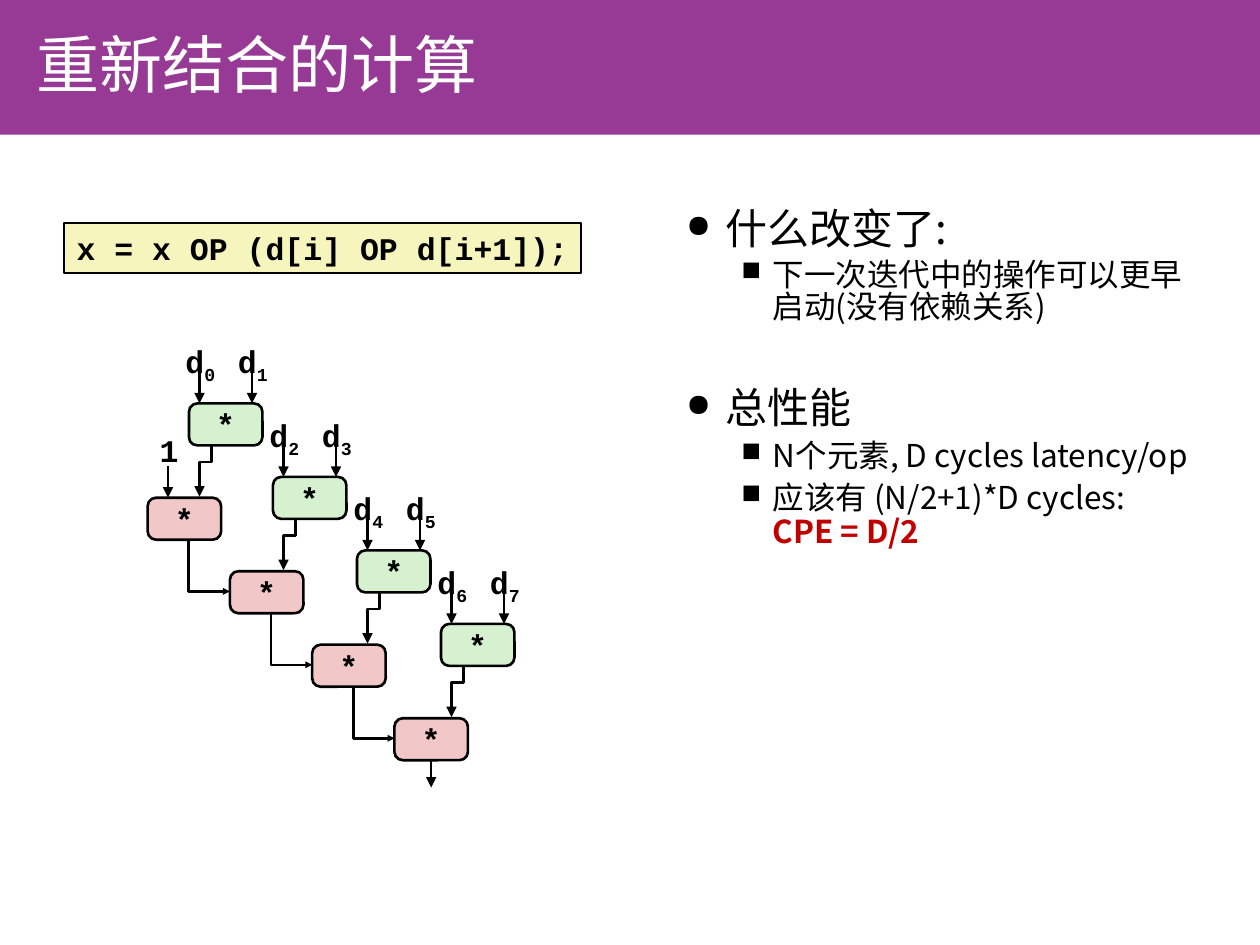
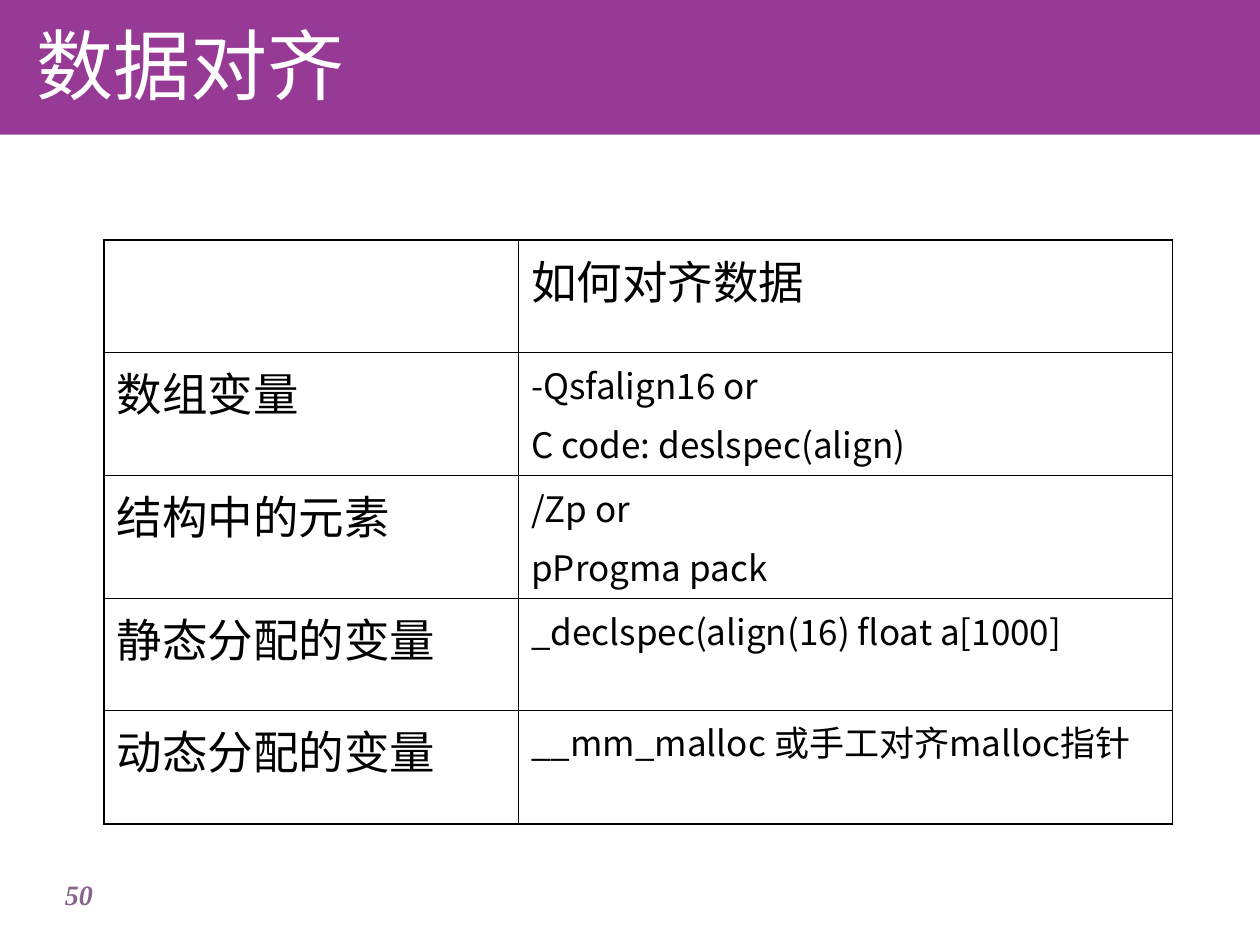
from dataclasses import dataclass

from lxml.etree import SubElement
from pptx import Presentation
from pptx.dml.color import RGBColor
from pptx.enum.shapes import MSO_CONNECTOR, MSO_SHAPE
from pptx.enum.text import MSO_ANCHOR, MSO_AUTO_SIZE, PP_ALIGN
from pptx.oxml.ns import qn
from pptx.util import Pt


@dataclass(frozen=True)
class Theme:
    """Colours, fonts and type sizes of the deck."""

    band: str = "973A95"
    title: str = "FFFFFF"
    ink: str = "000000"
    accent: str = "C00000"
    number: str = "86658B"
    code: str = "F6F5BD"
    early: str = "D5F1CF"
    chained: str = "F1C7C7"
    sans: str = "Noto Sans CJK SC"
    mono: str = "Courier New"
    serif: str = "Times New Roman"
    heading_size: int = 24
    text_size: int = 18
    number_size: int = 16
    label_size: int = 26
    cell_size: int = 20
    stroke: float = 1.5


THEME = Theme()
NODE_WIDTH, NODE_HEIGHT = 42, 24
ROW_STEP = 42
EARLY_LEFT, EARLY_TOP, EARLY_STEP = 108, 230.5, 48
CHAIN_LEFT, CHAIN_TOP, CHAIN_STEP = 84.4, 284.4, 47
INPUT_LENGTH = 18


def points(*lengths):
    """Convert plain numbers to lengths in points."""
    return [Pt(length) for length in lengths]


def style(para, size, name=THEME.sans, color=THEME.ink, bold=False, italic=False):
    """Set one font for a whole paragraph, East Asian text included."""
    font = para.font
    font.size, font.name, font.bold, font.italic = Pt(size), name, bold, italic
    font.color.rgb = RGBColor.from_string(color)
    properties = para._p.get_or_add_pPr().find(qn("a:defRPr"))
    SubElement(properties, qn("a:ea"), typeface=name)


def outline(line, width):
    """Give a line the ink colour and a width."""
    line.color.rgb = RGBColor.from_string(THEME.ink)
    line.width = Pt(width)


def add_arrowhead(shape, size="med"):
    """Put a triangle at the end of a line."""
    SubElement(shape.line._get_or_add_ln(), qn("a:tailEnd"), type="triangle", w=size, len=size)


def add_filled(page, kind, frame, color, width=None):
    """Add a flat preset shape, outlined when a width is given."""
    shape = page.shapes.add_shape(kind, *points(*frame))
    shape.shadow.inherit = False
    shape.fill.solid()
    shape.fill.fore_color.rgb = RGBColor.from_string(color)
    if width is None:
        shape.line.fill.background()
    else:
        outline(shape.line, width)
    return shape


def add_page(deck, title, size):
    """Add a slide with the purple band and its title."""
    page = deck.slides.add_slide(deck.slide_layouts[5])
    band = add_filled(page, MSO_SHAPE.RECTANGLE, (0, -0.5, 720, 77.5), THEME.band)
    page.shapes._spTree.insert(2, band._element)
    holder = page.shapes.title
    holder.left, holder.top, holder.width, holder.height = points(13.5, 9.3, 472, 54)
    frame = holder.text_frame
    frame.text = title
    frame.auto_size = MSO_AUTO_SIZE.NONE
    frame.vertical_anchor = MSO_ANCHOR.MIDDLE
    para = frame.paragraphs[0]
    para.alignment = PP_ALIGN.LEFT
    style(para, size, color=THEME.title)
    return page


def add_code(page, code):
    """Add the boxed line of code."""
    box = add_filled(page, MSO_SHAPE.RECTANGLE, (36.7, 127.3, 295.2, 28.6), THEME.code, 1)
    frame = box.text_frame
    frame.word_wrap = False
    frame.vertical_anchor = MSO_ANCHOR.TOP
    para = frame.paragraphs[0]
    para.text = code
    para.alignment = PP_ALIGN.LEFT
    style(para, THEME.text_size, THEME.mono, bold=True)


def add_node(page, left, top, color):
    """Add one multiplication node."""
    frame = (left, top, NODE_WIDTH, NODE_HEIGHT)
    node = add_filled(page, MSO_SHAPE.ROUNDED_RECTANGLE, frame, color, THEME.stroke)
    node.adjustments[0] = 0.2
    node.text_frame.word_wrap = False
    node.text_frame.vertical_anchor = MSO_ANCHOR.MIDDLE
    para = node.text_frame.paragraphs[0]
    para.text = "*"
    para.alignment = PP_ALIGN.CENTER
    style(para, THEME.text_size, THEME.mono, bold=True)


def add_operand(page, center, top, name, index=""):
    """Add an operand name with an optional subscript."""
    box = page.shapes.add_textbox(*points(center - 12.5, top, 25, 30))
    frame = box.text_frame
    frame.word_wrap = False
    frame.margin_left = frame.margin_right = Pt(3.6)
    para = frame.paragraphs[0]
    para.alignment = PP_ALIGN.CENTER
    para.add_run().text = name
    if index:
        span = para.add_run()
        span.text = index
        span._r.get_or_add_rPr().set("baseline", "-25000")
    style(para, THEME.text_size, THEME.mono, bold=True)


def add_down_arrow(page, x, top):
    """Add a short arrow pointing down."""
    ends = points(x, top, x, top + INPUT_LENGTH)
    arrow = page.shapes.add_connector(MSO_CONNECTOR.STRAIGHT, *ends)
    SubElement(arrow._element.spPr, qn("a:effectLst"))
    outline(arrow.line, THEME.stroke)
    add_arrowhead(arrow)


def add_bent_arrow(page, corners, size="med"):
    """Add an arrow through a list of corners."""
    start, *rest = [points(*corner) for corner in corners]
    builder = page.shapes.build_freeform(*start, scale=1.0)
    builder.add_line_segments(rest, close=False)
    arrow = builder.convert_to_shape()
    arrow.shadow.inherit = False
    arrow.fill.background()
    outline(arrow.line, THEME.stroke)
    add_arrowhead(arrow, size)


def add_stage(page, index):
    """Add the early product of two operands and its way to the chain."""
    left, top = EARLY_LEFT + EARLY_STEP * index, EARLY_TOP + ROW_STEP * index
    add_node(page, left, top, THEME.early)
    for side, x in enumerate((left + 6, left + 36)):
        add_down_arrow(page, x, top - INPUT_LENGTH)
        add_operand(page, x + 0.5, top - 38.5, "d", str(2 * index + side))
    bottom, bend = top + NODE_HEIGHT, top + 33.5
    add_bent_arrow(page, [(left + 13, bottom), (left + 13, bend),
                          (left + 6, bend), (left + 6, top + 53.3)])


def add_chain(page, count):
    """Add the chained products, their links, first input and result."""
    for index in range(count):
        left, top = CHAIN_LEFT + CHAIN_STEP * index, CHAIN_TOP + ROW_STEP * index
        bottom = top + NODE_HEIGHT
        if index < count - 1:
            x, y = left + 23.5, top + ROW_STEP + NODE_HEIGHT / 2 - 0.5
            add_bent_arrow(page, [(x, bottom), (x, y), (left + CHAIN_STEP, y)], "sm")
        else:
            add_down_arrow(page, left + NODE_WIDTH / 2, bottom - 2.4)
        add_node(page, left, top, THEME.chained)
    add_down_arrow(page, CHAIN_LEFT + 11.6, CHAIN_TOP - INPUT_LENGTH)
    add_operand(page, CHAIN_LEFT + 12.2, CHAIN_TOP - 41.8, "1")


def add_bullet(frame, text, level, spacing, before, emphasis=""):
    """Add a bulleted paragraph, with an emphasised second line if given."""
    para = frame.paragraphs[0] if before == 0 else frame.add_paragraph()
    para.add_run().text = text
    para.level = level
    para.line_spacing = spacing
    para.space_before = Pt(before)
    properties = para._p.get_or_add_pPr()
    margin, hanging, symbol, scale = [(22.5, 22.5, "●", 75), (49.5, 18, "■", 85)][level]
    properties.set("marL", str(Pt(margin)))
    properties.set("indent", str(-Pt(hanging)))
    color = SubElement(properties, qn("a:buClr"))
    SubElement(color, qn("a:srgbClr"), val=THEME.ink)
    SubElement(properties, qn("a:buSzPct"), val=str(scale * 1000))
    SubElement(properties, qn("a:buChar"), char=symbol)
    style(para, (THEME.heading_size, THEME.text_size)[level])
    if emphasis:
        para.add_line_break()
        span = para.add_run()
        span.text = emphasis
        span.font.bold = True
        span.font.color.rgb = RGBColor.from_string(THEME.accent)


def add_findings(page):
    """Add the bulleted findings."""
    frame = page.shapes.add_textbox(*points(385, 116.6, 311, 411)).text_frame
    frame.word_wrap = True
    add_bullet(frame, "什么改变了:", 0, 0.85, 0)
    add_bullet(frame, "下一次迭代中的操作可以更早启动(没有依赖关系)", 1, 0.85, 4.5)
    add_bullet(frame, "总性能", 0, 0.85, 36.5)
    add_bullet(frame, "N个元素, D cycles latency/op", 1, 0.9, 4.5)
    add_bullet(frame, "应该有 (N/2+1)*D cycles:", 1, 0.9, 4.5, "CPE = D/2")


def add_borders(cell, widths):
    """Draw the left, right, top and bottom borders of a cell."""
    properties = cell._tc.get_or_add_tcPr()
    for side, width in zip("LRTB", widths):
        line = SubElement(properties, qn(f"a:ln{side}"), w=str(Pt(width)))
        fill = SubElement(line, qn("a:solidFill"))
        SubElement(fill, qn("a:srgbClr"), val=THEME.ink)


def add_grid(page, rows):
    """Add the table with a heavier outer border."""
    last = len(rows) - 1
    shape = page.shapes.add_table(len(rows), 2, *points(59.4, 137.2, 610.6, 64 * len(rows)))
    table = shape.table
    table.first_row = table.horz_banding = False
    for column, width in zip(table.columns, (236.9, 373.7)):
        column.width = Pt(width)
    for row, texts in enumerate(rows):
        table.rows[row].height = Pt(64)
        for column, text in enumerate(texts):
            cell = table.cell(row, column)
            outer = (column == 0, column == 1, row == 0, row == last)
            add_borders(cell, [1.08 if edge else 0.45 for edge in outer])
            cell.fill.background()
            cell.text = text
            size = THEME.label_size if row == 0 or column == 0 else THEME.cell_size
            for order, para in enumerate(cell.text_frame.paragraphs):
                para.space_before = Pt(5 if order else 0)
                style(para, size)


def add_number(page, number):
    """Add the page number."""
    frame = page.shapes.add_textbox(*points(30, 498.2, 216, 36)).text_frame
    frame.word_wrap = True
    para = frame.paragraphs[0]
    para.text = number
    style(para, THEME.number_size, THEME.serif, THEME.number, bold=True, italic=True)


def main():
    """Build both slides and save the deck."""
    deck = Presentation()
    deck.slide_width, deck.slide_height = points(720, 540)

    page = add_page(deck, "重新结合的计算", 36)
    add_code(page, "x = x OP (d[i] OP d[i+1]);")
    add_findings(page)
    add_chain(page, 4)
    for index in range(4):
        add_stage(page, index)

    page = add_page(deck, "数据对齐", 44)
    add_grid(page, [
        ("", "如何对齐数据"),
        ("数组变量", "-Qsfalign16 or\nC code: deslspec(align)"),
        ("结构中的元素", "/Zp or\npProgma pack"),
        ("静态分配的变量", "_declspec(align(16) float a[1000]"),
        ("动态分配的变量", "__mm_malloc 或手工对齐malloc指针"),
    ])
    add_number(page, "50")
    deck.save("out.pptx")


if __name__ == "__main__":
    main()
